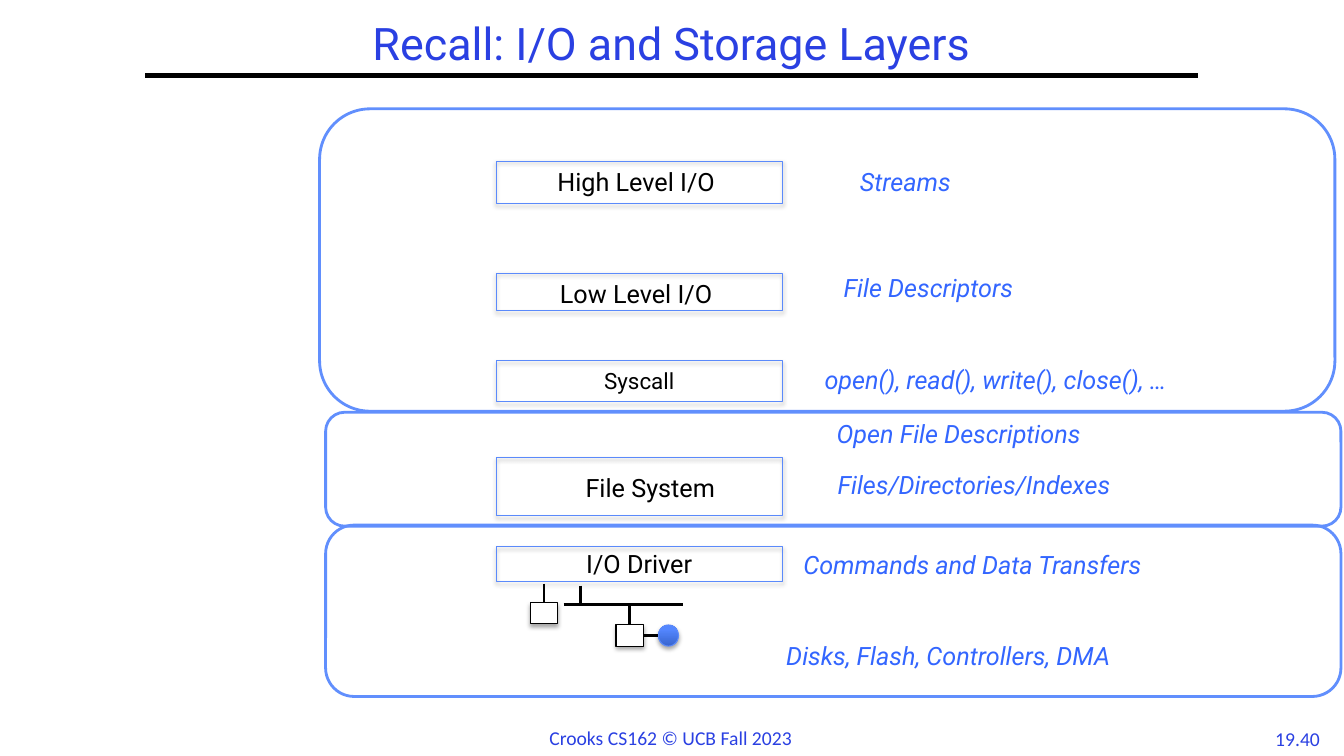
from lxml.etree import SubElement
from pptx import Presentation
from pptx.dml.color import RGBColor
from pptx.enum.shapes import MSO_CONNECTOR as Link, MSO_SHAPE as Kind
from pptx.enum.text import MSO_ANCHOR as Anchor, MSO_AUTO_SIZE as Auto, PP_ALIGN as Align
from pptx.oxml.ns import qn
from pptx.util import Inches, Pt

BLACK, WHITE = "000000", "FFFFFF"
NAVY, SKY, EDGE, FRAME = "2A40E2", "3366FF", "5B8AFB", "618FFD"


def paint(code):
    """Turn a hex string into a colour."""
    return RGBColor.from_string(code)


def write(frame, text, size=18, color=BLACK, font="Roboto", italic=False,
          align=Align.LEFT, anchor=Anchor.TOP, wrap=True, space=1.0):
    """Fill a text frame with one formatted paragraph."""
    frame.auto_size = Auto.NONE
    frame.word_wrap = wrap
    frame.vertical_anchor = anchor
    para = frame.paragraphs[0]
    para.alignment = align
    para.line_spacing = space
    run = para.add_run()
    run.text = text
    run.font.size = Pt(size)
    run.font.name = font
    run.font.italic = italic
    run.font.color.rgb = paint(color)


def label(slide, box, text, **style):
    """Add a text box with the given format."""
    area = slide.shapes.add_textbox(*map(Inches, box))
    write(area.text_frame, text, **style)


def shade(shape):
    """Give a shape a soft shadow below it."""
    effects = SubElement(shape._element.spPr, qn("a:effectLst"))
    outer = SubElement(effects, qn("a:outerShdw"), blurRad=str(Pt(3.1)),
                       dist=str(Pt(1.8)), dir="5400000", rotWithShape="0")
    color = SubElement(outer, qn("a:srgbClr"), val=BLACK)
    SubElement(color, qn("a:alpha"), val="35000")


def block(slide, box, kind=Kind.RECTANGLE, fill=None, line=EDGE, width=0.75, shadow=True):
    """Add an outlined shape, with or without fill and shadow."""
    shape = slide.shapes.add_shape(kind, *map(Inches, box))
    shape.shadow.inherit = False
    if fill:
        shape.fill.solid()
        shape.fill.fore_color.rgb = paint(fill)
    else:
        shape.fill.background()
    shape.line.color.rgb = paint(line)
    shape.line.width = Pt(width)
    if shadow:
        shape._element.spPr.remove(shape._element.spPr.find(qn("a:effectLst")))
        shade(shape)
    return shape


def wire(slide, start, end, width=2):
    """Draw a straight black line."""
    line = slide.shapes.add_connector(Link.STRAIGHT, *map(Inches, start + end))
    line.line.color.rgb = paint(BLACK)
    line.line.width = Pt(width)
    SubElement(line._element.spPr, qn("a:effectLst"))
    return line


def header(slide, box):
    """Place the title and the rule under it."""
    left, top, width, height = box
    title = slide.shapes.title
    title.left, title.top, title.width, title.height = map(Inches, box)
    write(title.text_frame, "Recall: I/O and Storage Layers", size=32, color=NAVY,
          align=Align.CENTER, anchor=Anchor.MIDDLE, space=0.9)
    wire(slide, (left, top + height), (left + width, top + height), 3)


def layer(slide, box, text, dx=0, dy=0, size=18):
    """Place one layer box with its centred name."""
    left, top, width, height = box
    label(slide, (left + dx, top + dy, width, 0.4), text, size=size, align=Align.CENTER)
    block(slide, box)


def stack(slide, box):
    """Place the five layers, their captions and the three frames."""
    left, top, width, height = box
    layers = [
        ("High Level I/O ", 0.52, 0.42, {}),
        ("Low Level I/O ", 1.63, 0.37, {}),
        ("Syscall", 2.5, 0.4, {"dy": 0.01, "size": 16}),
        ("File System", 3.46, 0.57, {"dx": 0.11, "dy": 0.1}),
        ("I/O Driver", 4.34, 0.35, {"dy": -0.03}),
    ]
    for text, down, tall, shift in layers:
        layer(slide, (left + 1.75, top + down, 2.84, tall), text, **shift)
    captions = [
        ("Streams", 5.26, 0.52),
        ("File Descriptors", 5.1, 1.57),
        ("open(), read(), write(), close(), …", 4.91, 2.49),
        ("Open File Descriptions", 5.03, 3.02),
        ("Files/Directories/Indexes", 5.04, 3.53),
        ("Commands and Data Transfers", 4.7, 4.32),
        ("Disks, Flash, Controllers, DMA", 4.53, 5.22),
    ]
    for text, across, down in captions:
        label(slide, (left + across, top + down, width - across, 0.4), text,
              color=SKY, italic=True)
    for across, down, tall in [(0, 0, 3), (0.06, 4.13, 1.7), (0.06, 3.01, 1.13)]:
        block(slide, (left + across, top + down, width, tall), Kind.ROUNDED_RECTANGLE,
              line=FRAME, width=2, shadow=False)


def devices(slide, box):
    """Place the bus with its two controllers and the disk."""
    left, top, width, height = box
    bus = top + 0.21
    wire(slide, (left + 0.33, bus), (left + width, bus))
    wire(slide, (left + 0.5, top + 0.02), (left + 0.5, bus))
    ports = [(0, 0.19, top), (0.85, 0.41, bus)]
    for across, down, start in ports:
        port = block(slide, (left + across, top + down, 0.27, 0.21), fill=WHITE, line=BLACK)
        mid = left + across + 0.135
        wire(slide, (mid, start), (mid, top + down)).end_connect(port, 0)
    disk = block(slide, (left + 1.27, top + 0.41, 0.2, 0.21), Kind.OVAL, fill=EDGE)
    disk.fill.gradient()
    disk.fill.gradient_angle = 90
    for stop, code, place in zip(disk.fill.gradient_stops, ("3764CE", "5487FF"), (0, 0.8)):
        stop.color.rgb = paint(code)
        stop.position = place
    level = top + 0.515
    wire(slide, (left + 1.12, level), (left + 1.27, level)).begin_connect(port, 3)


def footer(slide, box):
    """Place the course line and the page number."""
    left, top, width, height = box
    style = {"size": 14, "color": NAVY, "font": "Calibri"}
    label(slide, (left, top, 2.63, height), "Crooks CS162 © UCB Fall 2023", **style)
    label(slide, (left + width - 0.68, top + 0.01, 0.68, height), "19.40",
          align=Align.CENTER, wrap=False, **style)


def main():
    """Build the slide and save it."""
    deck = Presentation()
    deck.slide_width, deck.slide_height = Inches(13.33), Inches(7.5)
    slide = deck.slides.add_slide(deck.slide_layouts[5])
    header(slide, (1.44, 0.17, 10.44, 0.58))
    stack(slide, (3.17, 1.08, 10.07, 5.83))
    devices(slide, (5.26, 5.79, 1.51, 0.62))
    footer(slide, (5.35, 7.15, 7.86, 0.33))
    deck.save("out.pptx")


if __name__ == "__main__":
    main()
